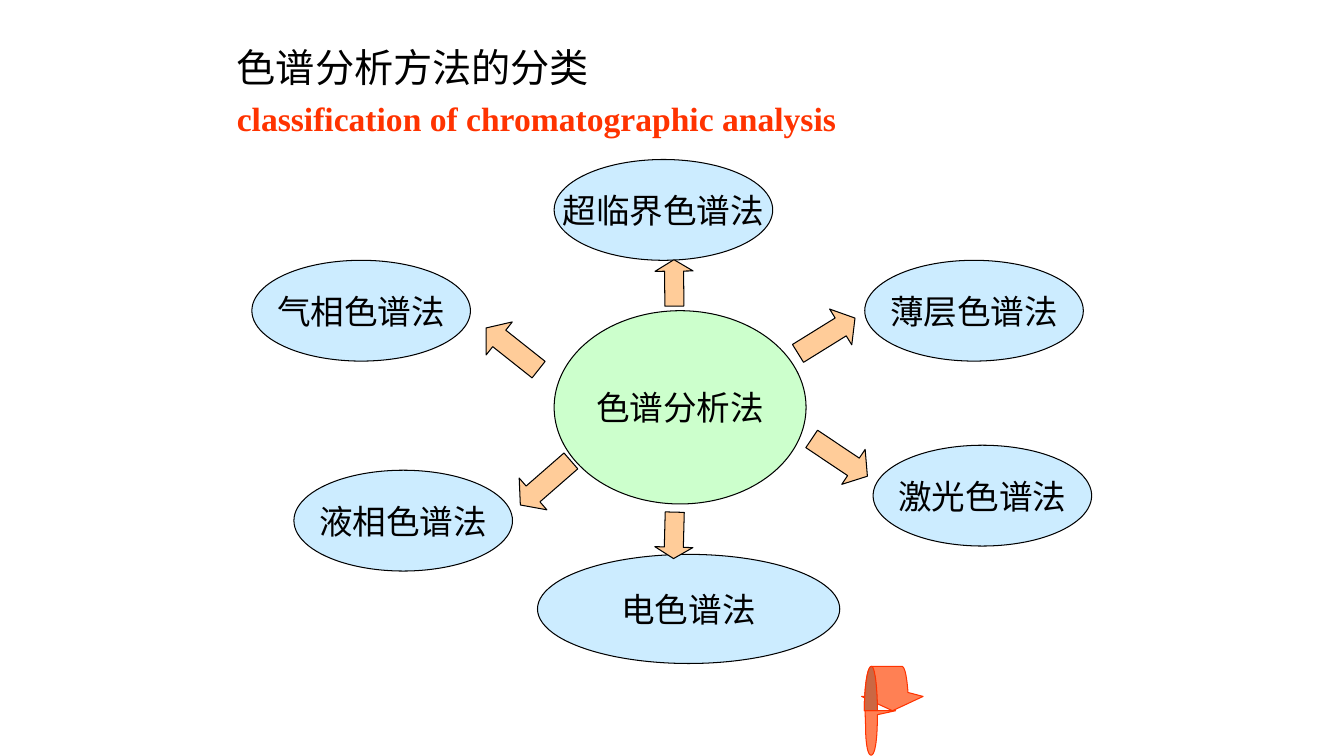
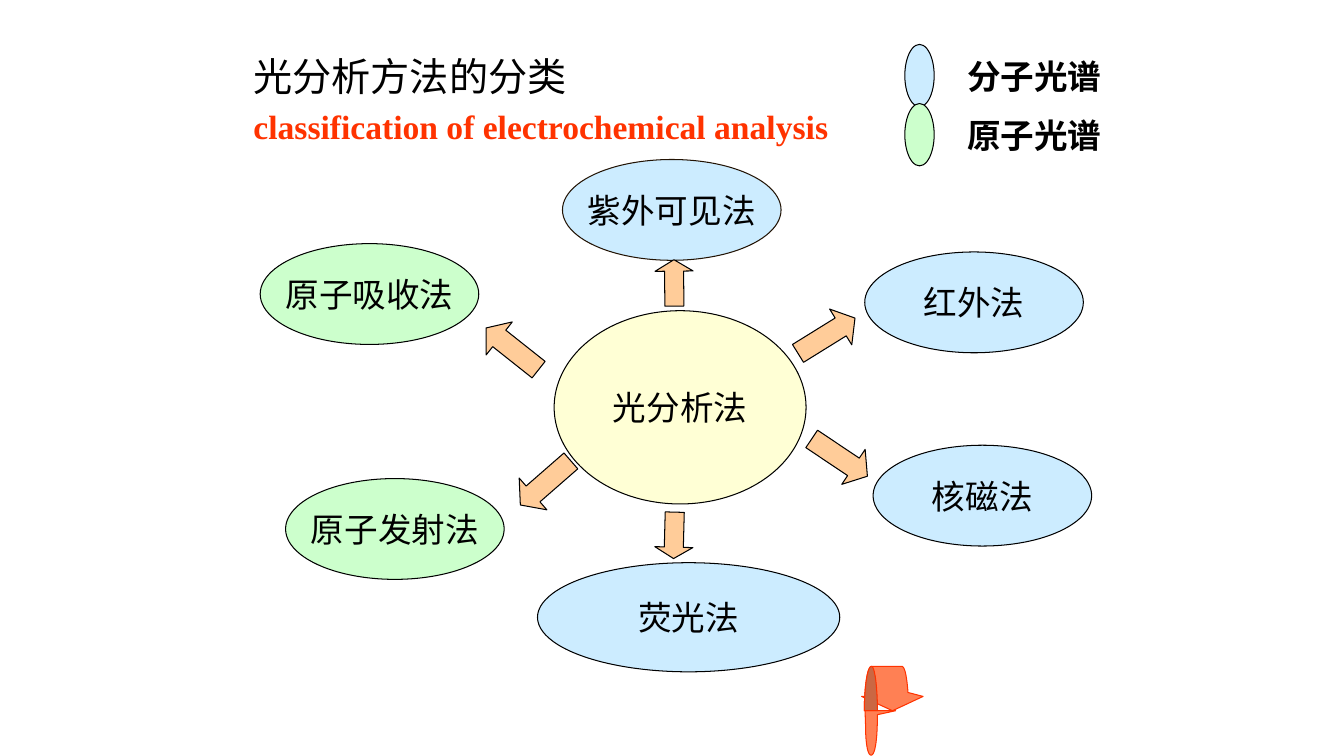
import lxml.etree
import pptx
import pptx.dml.color
import pptx.enum.shapes
import pptx.enum.text
import pptx.oxml.ns
import pptx.util

Cm = pptx.util.Cm
Pt = pptx.util.Pt
MSO_SHAPE = pptx.enum.shapes.MSO_SHAPE
PP_ALIGN = pptx.enum.text.PP_ALIGN
ANCHOR = pptx.enum.text.MSO_ANCHOR
AUTO_SIZE = pptx.enum.text.MSO_AUTO_SIZE

COLORS = {
    "text": "000000", "accent": "FF3300", "line": "000000", "brown": "221304",
    "blue": "CCECFF", "green": "CCFFCC", "yellow": "FFFFD5",
    "arrow": "FFCC99", "ribbon": "FF8054", "shade": "CA6743",
}
CJK_FONT = "Noto Sans CJK SC"
FONTS = {
    "title": {"name": CJK_FONT, "size": Pt(28), "bold": False},
    "subtitle": {"name": "Times New Roman", "size": Pt(24), "bold": True},
    "node": {"name": "Arial", "size": Pt(24), "bold": False},
}

# Ellipse sizes, and arrows as (left, top, rotation)
NODE, WIDE_NODE = (5.51, 2.54), (7.62, 2.75)
CENTRE = (13.97, 7.83, 6.35, 4.87)
LONG_ARROWS = [(12.07, 8.26, 38.4), (19.99, 7.93, 148.2),
               (20.32, 11, 213.8), (12.91, 11.64, 318.9)]
SHORT_ARROWS = [(16.41, 6.65, 89.4), (16.41, 13.01, 271.5)]

# Curled arrow: two numbers are a corner, six are a Bezier curve
RIBBON = [
    (21.79, 17.91), (21.79, 17.29, 21.87, 16.79, 21.97, 16.79), (22.73, 16.79),
    (22.81, 16.79, 22.86, 17.04, 22.89, 17.45), (23.27, 17.55), (22.5, 17.91),
    (21.72, 17.55), (22.1, 17.55), (22.07, 17.02, 22, 16.79, 21.92, 16.97),
    (21.84, 17.15, 21.79, 17.7, 21.82, 18.26),
    (21.82, 18.82, 21.89, 19.05, 21.97, 19.03),
    (22.07, 19, 22.12, 18.59, 22.12, 18.01), (22.58, 17.91),
]
RIBBON_SHADE = RIBBON[:2] + [(22.05, 16.79, 22.12, 17.29, 22.12, 17.91)]


def trace(outline, steps=12):
    """Turn corners and Bezier curves into a list of points."""
    pts = []
    for seg in outline:
        if len(seg) == 2:
            pts.append(seg)
            continue
        ctrl = [pts[-1], seg[0:2], seg[2:4], seg[4:6]]
        for i in range(1, steps + 1):
            t = i / steps
            weights = ((1 - t) ** 3, 3 * t * (1 - t) ** 2, 3 * t * t * (1 - t), t ** 3)
            pts.append(tuple(sum(w * c[axis] for w, c in zip(weights, ctrl))
                             for axis in (0, 1)))
    return [(Cm(x), Cm(y)) for x, y in pts]


class Deck:
    """Shared style and the current slide."""

    def __init__(self):
        self.prs = pptx.Presentation()
        self.prs.slide_width, self.prs.slide_height = Cm(33.88), Cm(19.05)
        self.s = None

    def rgb(self, color):
        return pptx.dml.color.RGBColor.from_string(COLORS[color])

    def set_text(self, sp, text, style, color="text", align=PP_ALIGN.LEFT,
                 anchor=ANCHOR.TOP, wrap=True):
        tf = sp.text_frame
        frame = {"word_wrap": wrap, "auto_size": AUTO_SIZE.NONE, "vertical_anchor": anchor,
                 "margin_left": Cm(0.25), "margin_right": Cm(0.25),
                 "margin_top": Cm(0.13), "margin_bottom": Cm(0.13)}
        for key, value in frame.items():
            setattr(tf, key, value)
        p = tf.paragraphs[0]
        p.alignment = align
        r = p.add_run()
        r.text = text
        for key, value in FONTS[style].items():
            setattr(r.font, key, value)
        r.font.color.rgb = self.rgb(color)
        ea = lxml.etree.SubElement(r.font._element, pptx.oxml.ns.qn("a:ea"))
        ea.set("typeface", CJK_FONT)

    def paint(self, sp, fill, line="line"):
        sp.shadow.inherit = False
        sp.fill.solid()
        sp.fill.fore_color.rgb = self.rgb(fill)
        sp.line.color.rgb = self.rgb(line)
        sp.line.width = Pt(0.75)

    def slide(self, title, subtitle, left, top):
        self.s = self.prs.slides.add_slide(self.prs.slide_layouts[5])
        sp = self.s.shapes.title
        box = {"left": left, "top": top, "width": 21.59, "height": 1.27}
        for key, value in box.items():
            setattr(sp, key, Cm(value))
        self.set_text(sp, title, "title", anchor=ANCHOR.MIDDLE)
        self.label(subtitle, left, top + 1.27, 16.09, "accent")

    def label(self, text, left, top, width, color="text"):
        sp = self.s.shapes.add_textbox(Cm(left), Cm(top), Cm(width), Cm(1.27))
        self.set_text(sp, text, "subtitle", color)

    def shape(self, kind, left, top, width, height, fill, line="line"):
        sp = self.s.shapes.add_shape(kind, Cm(left), Cm(top), Cm(width), Cm(height))
        self.paint(sp, fill, line)
        return sp

    def node(self, text, left, top, size, fill, line="line"):
        sp = self.shape(MSO_SHAPE.OVAL, left, top, *size, fill, line)
        self.set_text(sp, text, "node", align=PP_ALIGN.CENTER,
                      anchor=ANCHOR.MIDDLE, wrap=False)

    def arrows(self, places, width, height, head):
        for left, top, rotation in places:
            sp = self.shape(MSO_SHAPE.LEFT_ARROW, left, top, width, height, "arrow")
            sp.rotation = rotation
            sp.adjustments[0], sp.adjustments[1] = 0.5, head

    def ribbon(self):
        for outline, fill in ((RIBBON, "ribbon"), (RIBBON_SHADE, "shade")):
            pts = trace(outline)
            fb = self.s.shapes.build_freeform(*pts[0], scale=1.0)
            fb.add_line_segments(pts[1:], close=True)
            self.paint(fb.convert_to_shape(), fill, "accent")

    def legend(self, entries):
        for i, (text, fill) in enumerate(entries):
            drop = 1.49 * i
            self.shape(MSO_SHAPE.OVAL, 22.81, 1.12 + drop, 0.74, 1.57, fill)
            self.label(text, 24.13, 1.27 + drop, 4.65)

    def wheel(self, centre, fill, nodes):
        self.node(centre, *CENTRE[:2], CENTRE[2:], fill)
        for node in nodes:
            self.node(*node)
        self.arrows(LONG_ARROWS, 1.69, 1.06, 0.4)
        self.arrows(SHORT_ARROWS, 1.17, 0.96, 0.3)
        self.ribbon()


def main():
    deck = Deck()

    # Chromatography
    deck.slide("色谱分析方法的分类", "classification of chromatographic analysis", 5.72, 1.06)
    deck.wheel("色谱分析法", "green", [
        ("气相色谱法", 6.35, 6.56, NODE, "blue"),
        ("薄层色谱法", 21.8, 6.56, NODE, "blue"),
        ("液相色谱法", 7.41, 11.85, NODE, "blue"),
        ("激光色谱法", 22.01, 11.22, NODE, "blue"),
        ("电色谱法", 13.55, 13.97, WIDE_NODE, "blue"),
        ("超临界色谱法", 13.97, 4.02, NODE, "blue"),
    ])

    # Optical analysis
    deck.slide("光分析方法的分类", "classification of electrochemical analysis", 6.14, 1.27)
    deck.wheel("光分析法", "yellow", [
        ("原子吸收法", 6.56, 6.14, NODE, "green"),
        ("红外法", 21.8, 6.35, NODE, "blue"),
        ("原子发射法", 7.2, 12.06, NODE, "green"),
        ("核磁法", 22.01, 11.22, NODE, "blue"),
        ("荧光法", 13.55, 14.18, WIDE_NODE, "blue"),
        ("紫外可见法", 14.18, 4.02, NODE, "blue", "brown"),
    ])
    deck.legend([("分子光谱", "blue"), ("原子光谱", "green")])

    deck.prs.save("out.pptx")


if __name__ == "__main__":
    main()
